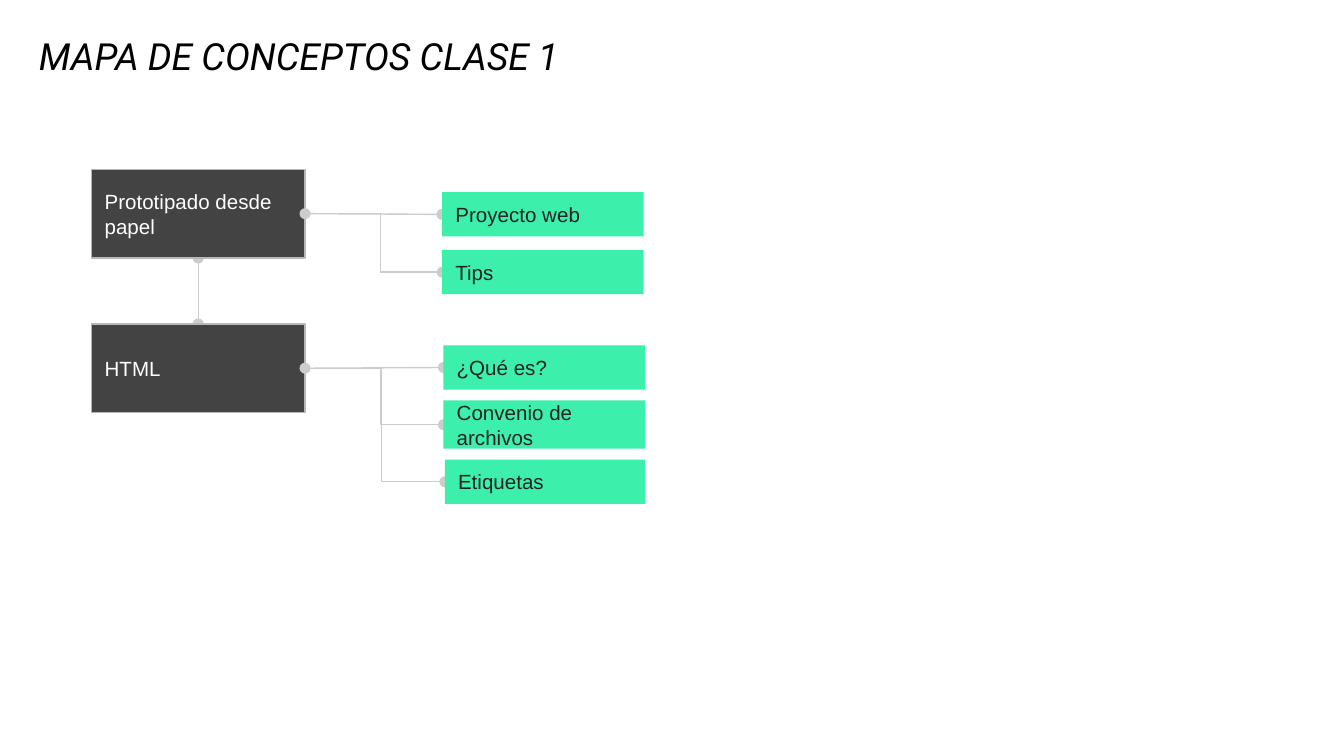
from lxml import etree
from pptx import Presentation
from pptx.dml.color import RGBColor
from pptx.enum.shapes import MSO_CONNECTOR, MSO_SHAPE
from pptx.enum.text import MSO_ANCHOR, PP_ALIGN
from pptx.oxml.ns import qn
from pptx.util import Inches, Pt

STRAIGHT, ELBOW = MSO_CONNECTOR.STRAIGHT, MSO_CONNECTOR.ELBOW
RECTANGLE = MSO_SHAPE.RECTANGLE
MIDDLE, BOTTOM = MSO_ANCHOR.MIDDLE, MSO_ANCHOR.BOTTOM
LEFT = PP_ALIGN.LEFT
TOP_SIDE, LEFT_SIDE, BOTTOM_SIDE, RIGHT_SIDE = range(4)

BLACK = RGBColor(0x00, 0x00, 0x00)
WHITE = RGBColor(0xFF, 0xFF, 0xFF)
INK = RGBColor(0x22, 0x22, 0x22)
CHARCOAL = RGBColor(0x43, 0x43, 0x43)
BORDER_GRAY = RGBColor(0xB7, 0xB7, 0xB7)
LINK_GRAY = RGBColor(0xCC, 0xCC, 0xCC)
MINT = RGBColor(0x3C, 0xEF, 0xAB)

TOPIC_LEFT, TOPIC_WIDTH, TOPIC_HEIGHT = 0.68, 1.59, 0.66
ELBOW_GAP = 0.1
BRANCHES = [
    ("Prototipado desde papel", 1.26, [
        ("Proyecto web", (3.29, 1.43, 1.5, 0.33)),
        ("Tips", (3.29, 1.86, 1.5, 0.33)),
    ]),
    ("HTML", 2.41, [
        ("¿Qué es?", (3.3, 2.57, 1.5, 0.33)),
        ("Convenio de archivos", (3.3, 2.98, 1.5, 0.36)),
        ("Etiquetas", (3.31, 3.42, 1.49, 0.33)),
    ]),
]


def write_text(shape, text, *, size, color, font="Arial", italic=False, anchor=MIDDLE):
    frame = shape.text_frame
    frame.word_wrap = True
    frame.vertical_anchor = anchor
    frame.margin_left = frame.margin_right = Inches(0.1)
    frame.margin_top = frame.margin_bottom = Inches(0.1)
    paragraph = frame.paragraphs[0]
    paragraph.alignment = LEFT
    run = paragraph.add_run()
    run.text = text
    run.font.name = font
    run.font.size = Pt(size)
    run.font.italic = italic
    run.font.color.rgb = color


def add_box(slide, text, box, fill, color, border=None):
    shape = slide.shapes.add_shape(RECTANGLE, *map(Inches, box))
    shape.shadow.inherit = False
    shape.fill.solid()
    shape.fill.fore_color.rgb = fill
    if border is None:
        shape.line.fill.background()
    else:
        shape.line.color.rgb = border
        shape.line.width = Pt(0.75)
    write_text(shape, text, size=11, color=color)
    return shape


def add_link(slide, kind, start=(0, 0), end=(0, 0), ovals=("headEnd", "tailEnd")):
    link = slide.shapes.add_connector(kind, *map(Inches, (*start, *end)))
    link.line.color.rgb = LINK_GRAY
    link.line.width = Pt(0.75)
    properties = link._element.spPr
    outline = properties.find(qn("a:ln"))
    for oval in ovals:
        etree.SubElement(outline, qn(f"a:{oval}"), type="oval")
    etree.SubElement(properties, qn("a:effectLst"))
    return link


def add_title(slide, text, box):
    title = slide.shapes.title
    title.left, title.top, title.width, title.height = map(Inches, box)
    write_text(title, text, size=20, color=BLACK, font="Roboto", italic=True, anchor=BOTTOM)


def add_topics(slide):
    spine = add_link(slide, STRAIGHT)
    topics = [
        add_box(slide, name, (TOPIC_LEFT, top, TOPIC_WIDTH, TOPIC_HEIGHT),
                CHARCOAL, WHITE, BORDER_GRAY)
        for name, top, _ in BRANCHES
    ]
    spine.begin_connect(topics[0], BOTTOM_SIDE)
    spine.end_connect(topics[1], TOP_SIDE)
    return topics


def add_subtopics(slide, topic, topic_top, subtopics):
    elbow_start = (TOPIC_LEFT + TOPIC_WIDTH + ELBOW_GAP, topic_top + TOPIC_HEIGHT / 2)
    for index, (name, box) in enumerate(subtopics):
        left, top, _, height = box
        if index == 0:
            link = add_link(slide, STRAIGHT)
            subtopic = add_box(slide, name, box, MINT, INK)
            link.begin_connect(topic, RIGHT_SIDE)
            link.end_connect(subtopic, LEFT_SIDE)
        else:
            add_link(slide, ELBOW, elbow_start, (left, top + height / 2), ("tailEnd",))
            add_box(slide, name, box, MINT, INK)


def main():
    presentation = Presentation()
    presentation.slide_width = Inches(10)
    presentation.slide_height = presentation.slide_width * 9 // 16
    slide = presentation.slides.add_slide(presentation.slide_layouts[5])
    add_title(slide, "MAPA DE CONCEPTOS CLASE 1", (0.19, 0.22, 8.26, 0.46))
    topics = add_topics(slide)
    for topic, (_, top, subtopics) in reversed(list(zip(topics, BRANCHES))):
        add_subtopics(slide, topic, top, subtopics)
    presentation.save("out.pptx")


if __name__ == "__main__":
    main()
